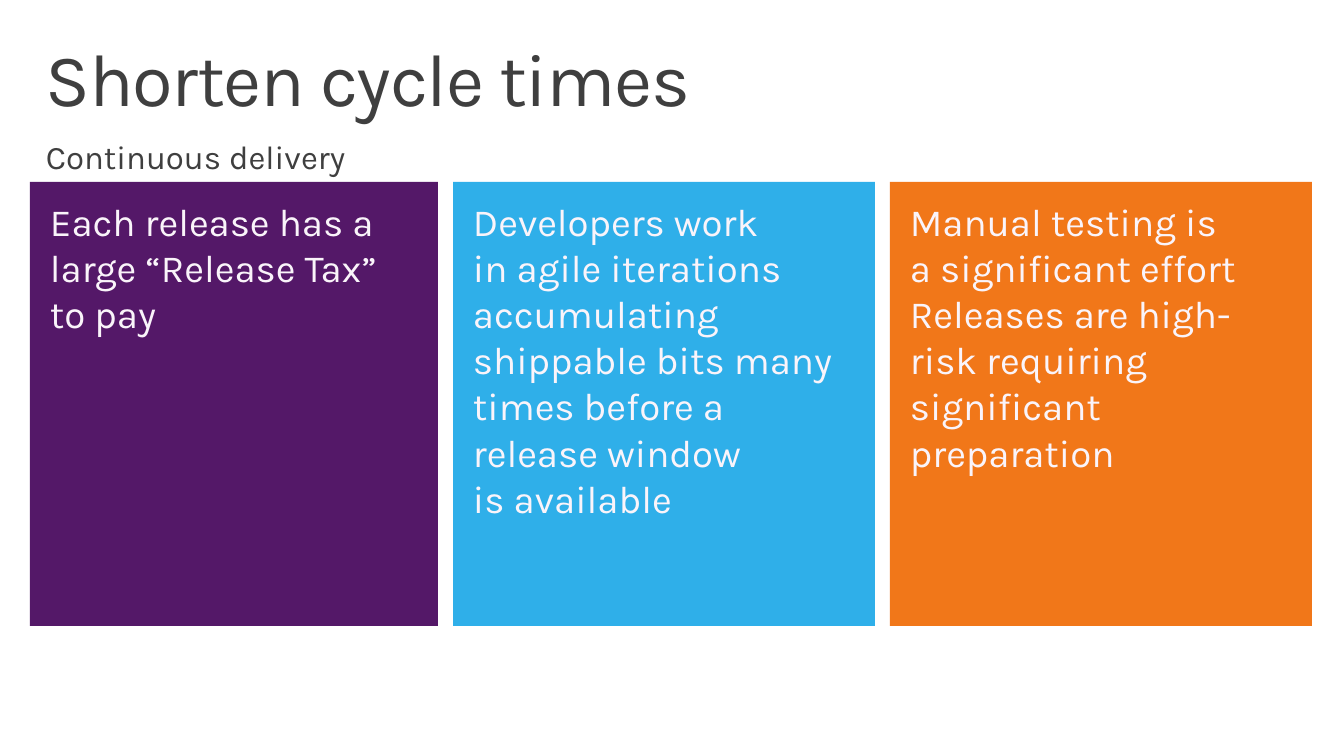
from pptx import Presentation
from pptx.dml.color import RGBColor
from pptx.enum.shapes import MSO_SHAPE as Shape
from pptx.enum.text import MSO_ANCHOR as Anchor, PP_ALIGN as Align
from pptx.util import Pt

PX = 9255  # EMU in one px


def color(hex_code):
    return RGBColor.from_string(hex_code)


def write(shape, text, size, ink, inset_x, inset_y, spacing=1.0):
    frame = shape.text_frame
    margins = {"margin_left": inset_x, "margin_right": inset_x,
               "margin_top": inset_y, "margin_bottom": inset_y}
    for side, inset in margins.items():
        setattr(frame, side, inset * PX)
    frame.word_wrap = True
    frame.vertical_anchor = Anchor.TOP
    frame.text = text
    paragraph = frame.paragraphs[0]
    paragraph.alignment = Align.LEFT
    paragraph.line_spacing = spacing
    for run in paragraph.runs:
        run.font.name = "Karla"
        run.font.size = Pt(size)
        run.font.color.rgb = color(ink)
    return paragraph


prs = Presentation()
prs.slide_width, prs.slide_height = 1344 * PX, 756 * PX
slide = prs.slides.add_slide(prs.slide_layouts[6])

# Three release problems, side by side
GAP = 15
problems = [
    (408, "541868", "Each release has a large “Release Tax”\vto pay"),
    (422, "2FAFE9", "Developers work\vin agile iterations accumulating shippable bits "
                    "many times before a release window\vis available"),
    (422, "F17719", "Manual testing is\va significant effort\v"
                    "Releases are high-risk requiring significant preparation"),
]
left = 30
for width, fill, problem in problems:
    panel = slide.shapes.add_shape(Shape.RECTANGLE, left * PX, 182 * PX, width * PX, 444 * PX)
    panel.shadow.inherit = False
    panel.fill.solid()
    panel.fill.fore_color.rgb = color(fill)
    panel.line.fill.background()
    write(panel, problem, 28, "FAF4FA", 20, 16)
    left += width + GAP

# Title and subtitle
title = slide.shapes.add_textbox(30 * PX, 32 * PX, 1284 * PX, 99 * PX)
heading = write(title, "Shorten cycle times", 54, "3F3F3F", 16, 10, 0.9)
heading.runs[0].font._element.set("spc", "-100")  # 1 pt tighter

subtitle = slide.shapes.add_textbox(30 * PX, 131 * PX, 1284 * PX, 56 * PX)
write(subtitle, "Continuous delivery", 24, "3F3F3F", 16, 10, 0.9)

prs.save("out.pptx")
